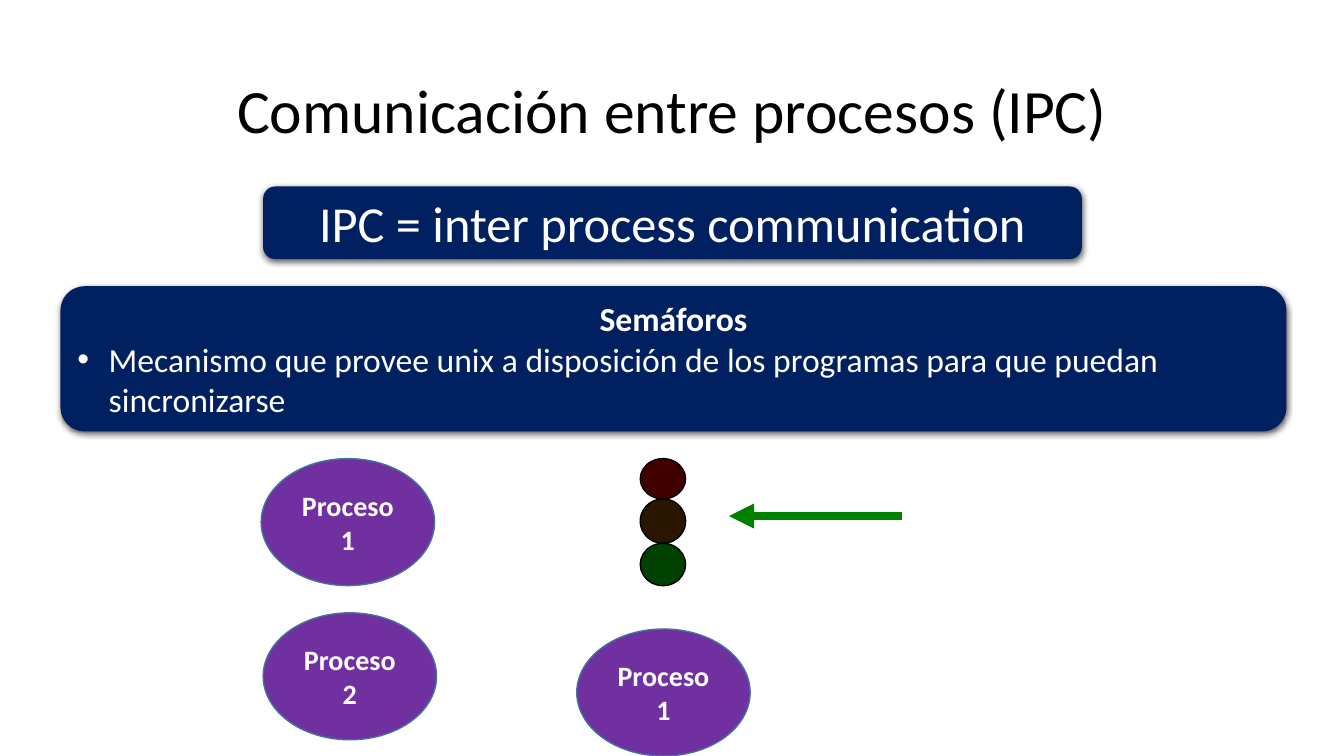
import pptx
import pptx.dml.color
import pptx.enum.shapes
import pptx.enum.text
import pptx.oxml
import pptx.oxml.ns
import pptx.util

PX = 9144
FONT = "Calibri"
COLORS = {
    "black": "000000",
    "white": "FFFFFF",
    "navy": "002060",
    "purple": "7030A0",
    "outline": "43739E",
    "arrow": "008000",
    "red": "400000",
    "amber": "2A1500",
    "green": "004000",
}
SHAPES = pptx.enum.shapes.MSO_SHAPE
CENTER = pptx.enum.text.PP_ALIGN.CENTER
MIDDLE = pptx.enum.text.MSO_ANCHOR.MIDDLE


def px(value):
    """Turn px into EMU."""
    return pptx.util.Emu(value * PX)


def rgb(name):
    """Look up a colour of the palette."""
    return pptx.dml.color.RGBColor.from_string(COLORS[name])


def add_xml(parent, tag, content="", attributes=""):
    """Append a DrawingML element to a parent."""
    namespace = pptx.oxml.ns.nsdecls("a")
    parent.append(pptx.oxml.parse_xml(
        f"<a:{tag} {namespace} {attributes}>{content}</a:{tag}>"))


def add_run(paragraph, text, size, color="white", bold=False):
    """Add a formatted run to a paragraph."""
    run = paragraph.add_run()
    run.text = text
    run.font.name = FONT
    run.font.size = pptx.util.Pt(size)
    run.font.bold = bold
    run.font.color.rgb = rgb(color)


def place_title(slide, text):
    """Move the title placeholder and fill it."""
    title = slide.shapes.title
    title.left, title.top, title.width, title.height = map(px, (92, 40, 1150, 145))
    title.text_frame.vertical_anchor = MIDDLE
    paragraph = title.text_frame.paragraphs[0]
    paragraph.alignment = CENTER
    paragraph.line_spacing = 0.9
    add_run(paragraph, text, 44, "black")


def add_filled_shape(slide, kind, box, fill, line=None):
    """Add a preset shape with a fill and an optional outline."""
    shape = slide.shapes.add_shape(kind, *map(px, box))
    shape.shadow.inherit = False
    shape.fill.solid()
    shape.fill.fore_color.rgb = rgb(fill)
    if line:
        shape.line.color.rgb = rgb(line)
        shape.line.width = pptx.util.Pt(1)
    else:
        shape.line.fill.background()
    shape.text_frame.word_wrap = True
    shape.text_frame.vertical_anchor = MIDDLE
    shape.text_frame.paragraphs[0].alignment = CENTER
    return shape


def add_panel(slide, box, heading, size, bold=False):
    """Add a shadowed rounded panel with a centred heading."""
    panel = add_filled_shape(slide, SHAPES.ROUNDED_RECTANGLE, box, "navy")
    effects = panel._element.spPr.find(pptx.oxml.ns.qn("a:effectLst"))
    color = f'<a:srgbClr val="{COLORS["black"]}"><a:alpha val="63000"/></a:srgbClr>'
    add_xml(effects, "outerShdw", color,
            'blurRad="57150" dist="19050" dir="5400000" algn="ctr" rotWithShape="0"')
    add_run(panel.text_frame.paragraphs[0], heading, size, bold=bold)
    return panel


def add_bullet(panel, text, size):
    """Add a bulleted paragraph to a panel."""
    paragraph = panel.text_frame.add_paragraph()
    paragraph.alignment = pptx.enum.text.PP_ALIGN.LEFT
    properties = paragraph._p.get_or_add_pPr()
    indent = px(31)
    properties.set("marL", str(indent))
    properties.set("indent", str(-indent))
    add_xml(properties, "buFont", attributes='typeface="Arial"')
    add_xml(properties, "buChar", attributes='char="•"')
    add_run(paragraph, text, size)


def add_process(slide, left, top, number):
    """Add a process ellipse with its number on a second line."""
    process = add_filled_shape(slide, SHAPES.OVAL, (left, top, 172, 126),
                               "purple", "outline")
    paragraph = process.text_frame.paragraphs[0]
    add_run(paragraph, "Proceso", 20, bold=True)
    paragraph.add_line_break()
    add_run(paragraph, number, 20, bold=True)


def add_arrow(slide, start, end):
    """Add a thick arrow between two points."""
    arrow = slide.shapes.add_connector(
        pptx.enum.shapes.MSO_CONNECTOR.STRAIGHT, *map(px, start + end))
    arrow.line.color.rgb = rgb("arrow")
    arrow.line.width = pptx.util.Pt(6)
    add_xml(arrow.line._get_or_add_ln(), "tailEnd", attributes='type="triangle"')
    add_xml(arrow._element.spPr, "effectLst")


def add_traffic_light(slide, left, top):
    """Stack the three lamps of the traffic light."""
    for color, height in (("red", 40), ("amber", 44), ("green", 42)):
        add_filled_shape(slide, SHAPES.OVAL, (left, top, 45, height), color, "black")
        top += height


def main():
    """Build the slide and save it."""
    presentation = pptx.Presentation()
    presentation.slide_width = px(1333)
    presentation.slide_height = px(750)
    slide = presentation.slides.add_slide(presentation.slide_layouts[5])
    place_title(slide, "Comunicación entre procesos (IPC)")
    add_panel(slide, (261, 185, 812, 72), "IPC = inter process communication", 36)
    semaphores = add_panel(slide, (60, 284, 1216, 144), "Semáforos", 24, bold=True)
    add_bullet(semaphores, "Mecanismo que provee unix a disposición de los programas "
               "para que puedan sincronizarse", 24)
    for left, top, number in ((259, 455, "1"), (261, 608, "2"), (572, 624, "1")):
        add_process(slide, left, top, number)
    add_arrow(slide, (895, 512), (723, 512))
    add_traffic_light(slide, 635, 455)
    presentation.save("out.pptx")


if __name__ == "__main__":
    main()
